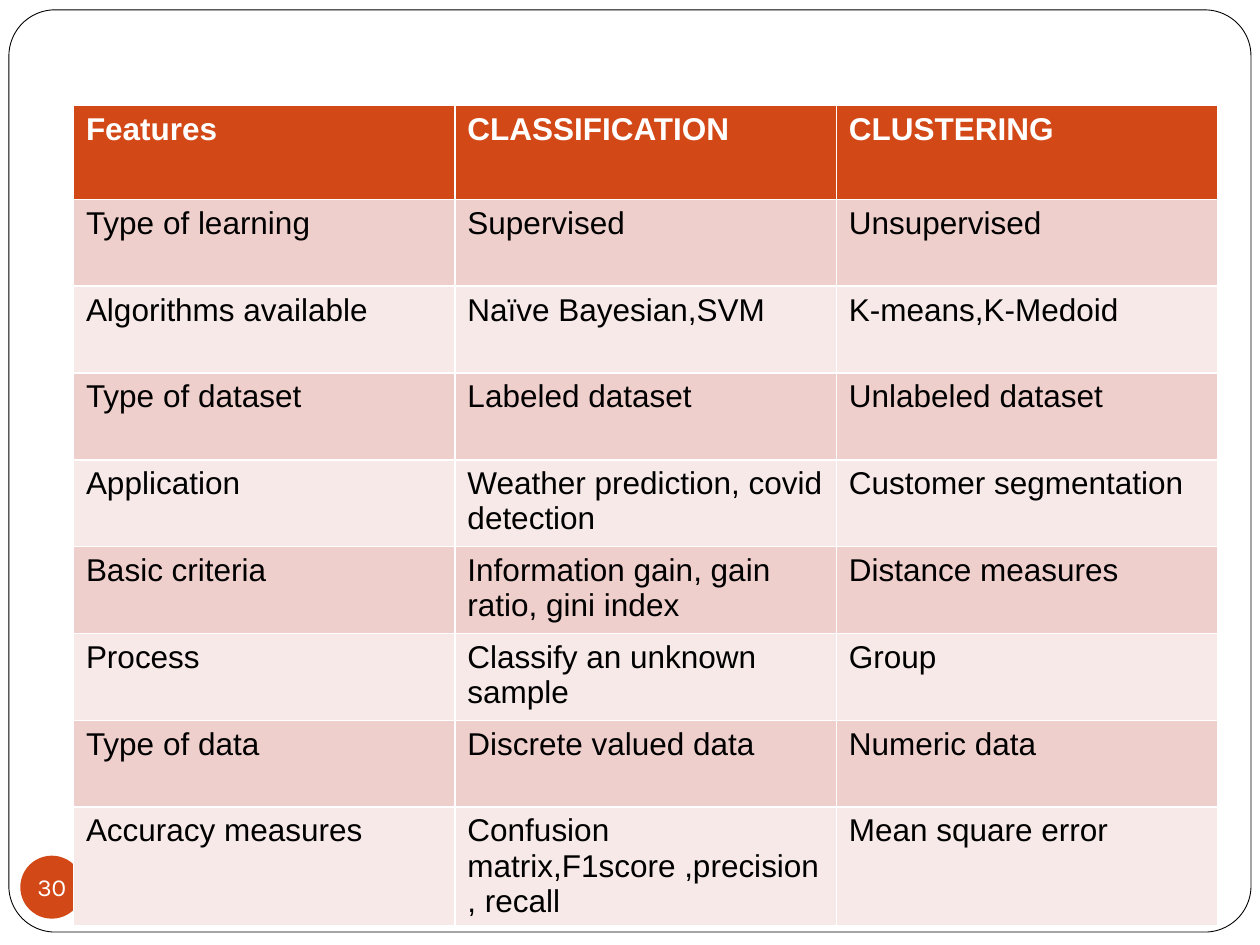
from dataclasses import dataclass

from pptx import Presentation
from pptx.dml.color import RGBColor
from pptx.enum.shapes import MSO_SHAPE
from pptx.enum.text import MSO_ANCHOR, PP_ALIGN
from pptx.util import Cm, Pt

COLORS = {
    "accent": "D34817",
    "band_dark": "EFCFCC",
    "band_light": "F7E9E8",
    "white": "FFFFFF",
    "black": "000000",
}
HEADER_HEIGHT = Cm(1.9)
ROW_HEIGHT = Cm(1.75)
COLUMN_WIDTH = Cm(7.69)


@dataclass
class Comparison:
    feature: str
    classification: str
    clustering: str


COMPARISONS = [
    Comparison("Features", "CLASSIFICATION", "CLUSTERING"),
    Comparison("Type of learning", "Supervised", "Unsupervised"),
    Comparison("Algorithms available", "Naïve Bayesian,SVM", "K-means,K-Medoid"),
    Comparison("Type of dataset", "Labeled dataset", "Unlabeled dataset"),
    Comparison("Application", "Weather prediction, covid detection", "Customer segmentation"),
    Comparison("Basic criteria", "Information gain, gain ratio, gini index", "Distance measures"),
    Comparison("Process", "Classify an unknown sample", "Group"),
    Comparison("Type of data", "Discrete valued data", "Numeric data"),
    Comparison("Accuracy measures", "Confusion matrix,F1score ,precision, recall", "Mean square error"),
]


def color(name: str) -> RGBColor:
    return RGBColor.from_string(COLORS[name])


def format_text(text_frame, font_name: str, size: float, color_name: str, bold: bool = False) -> None:
    for paragraph in text_frame.paragraphs:
        for run in paragraph.runs:
            run.font.name = font_name
            run.font.size = Pt(size)
            run.font.bold = bold
            run.font.color.rgb = color(color_name)


def add_frame(slide) -> None:
    frame = slide.shapes.add_shape(
        MSO_SHAPE.ROUNDED_RECTANGLE, Cm(0.18), Cm(0.2), Cm(25.04), Cm(18.59))
    frame.adjustments[0] = 0.05
    frame.shadow.inherit = False
    frame.fill.solid()
    frame.fill.fore_color.rgb = color("white")
    frame.line.color.rgb = color("black")
    frame.line.width = Pt(0.5)


def add_page_number(slide, number: str) -> None:
    badge = slide.shapes.add_shape(MSO_SHAPE.OVAL, Cm(0.41), Cm(17.25), Cm(1.27), Cm(1.27))
    badge.shadow.inherit = False
    badge.fill.solid()
    badge.fill.fore_color.rgb = color("accent")
    badge.line.fill.background()
    text_frame = badge.text_frame
    text_frame.margin_left = text_frame.margin_right = 0
    text_frame.margin_top = text_frame.margin_bottom = 0
    text_frame.word_wrap = False
    text_frame.vertical_anchor = MSO_ANCHOR.MIDDLE
    text_frame.text = number
    text_frame.paragraphs[0].alignment = PP_ALIGN.CENTER
    format_text(text_frame, "Karla", 14, "white")


def add_comparison_table(slide, comparisons: list[Comparison]) -> None:
    """Add the table; its default style supplies the white cell borders."""
    height = HEADER_HEIGHT + ROW_HEIGHT * (len(comparisons) - 1)
    table = slide.shapes.add_table(
        len(comparisons), 3, Cm(1.48), Cm(2.12), COLUMN_WIDTH * 3, height).table
    for column in table.columns:
        column.width = COLUMN_WIDTH
    for index, (row, comparison) in enumerate(zip(table.rows, comparisons)):
        is_header = index == 0
        row.height = HEADER_HEIGHT if is_header else ROW_HEIGHT
        band = "accent" if is_header else "band_dark" if index % 2 else "band_light"
        texts = (comparison.feature, comparison.classification, comparison.clustering)
        for cell, text in zip(row.cells, texts):
            cell.fill.solid()
            cell.fill.fore_color.rgb = color(band)
            cell.text_frame.text = text
            format_text(cell.text_frame, "Arial", 18, "white" if is_header else "black", is_header)


def main() -> None:
    presentation = Presentation()
    presentation.slide_width = Cm(25.4)
    presentation.slide_height = Cm(19.05)
    slide = presentation.slides.add_slide(presentation.slide_layouts[6])
    add_frame(slide)
    add_page_number(slide, "30")
    add_comparison_table(slide, COMPARISONS)
    presentation.save("out.pptx")


if __name__ == "__main__":
    main()
